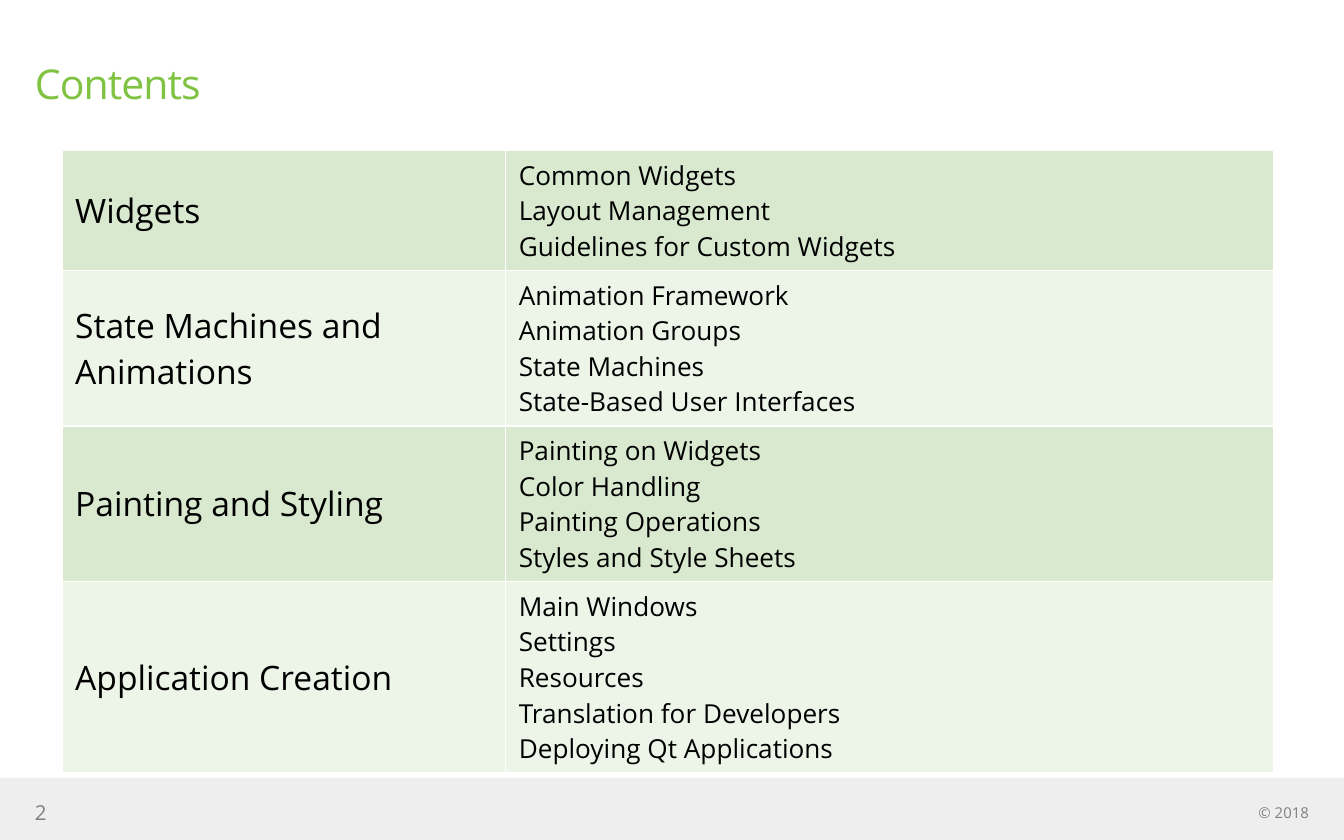
from lxml import etree
from pptx import Presentation
from pptx.dml.color import RGBColor
from pptx.enum.shapes import MSO_SHAPE
from pptx.enum.text import MSO_ANCHOR, PP_ALIGN
from pptx.oxml.ns import qn
from pptx.util import Inches, Pt

RECTANGLE = MSO_SHAPE.RECTANGLE
TOP, MIDDLE = MSO_ANCHOR.TOP, MSO_ANCHOR.MIDDLE
LEFT, RIGHT = PP_ALIGN.LEFT, PP_ALIGN.RIGHT

WIDTH, HEIGHT = 10, 6.25
FONT = "Open Sans"
LINE_SPACING = 1.36  # line height of the font, as a share of its size
CELL_PADDING = 0.05
TOPIC_SIZE, ITEM_SIZE = 18, 14
COLORS = {
    "title": "80C342",
    "text": "000000",
    "page_number": "7F7F7F",
    "copyright": "808080",
    "footer": "EEEEEE",
    "dark_band": "D8E9CF",
    "light_band": "EDF5E9",
    "border": "FFFFFF",
}

CONTENTS = [
    ("Widgets",
     ["Common Widgets", "Layout Management", "Guidelines for Custom Widgets"]),
    ("State Machines and Animations",
     ["Animation Framework", "Animation Groups", "State Machines",
      "State-Based User Interfaces"]),
    ("Painting and Styling",
     ["Painting on Widgets", "Color Handling", "Painting Operations",
      "Styles and Style Sheets"]),
    ("Application Creation",
     ["Main Windows", "Settings", "Resources", "Translation for Developers",
      "Deploying Qt Applications"]),
]


def color(name):
    return RGBColor.from_string(COLORS[name])


class SlideBuilder:
    """Places styled elements; positions are shares of the slide's size."""

    def __init__(self, slide):
        self.slide = slide

    def box(self, x, y, width, height):
        return (Inches(x * WIDTH), Inches(y * HEIGHT),
                Inches(width * WIDTH), Inches(height * HEIGHT))

    def set_lines(self, frame, lines, size, color_name, align=LEFT):
        frame.word_wrap = True
        frame.text = "\n".join(lines)
        for paragraph in frame.paragraphs:
            paragraph.alignment = align
            paragraph.font.name = FONT
            paragraph.font.size = Pt(size)
            paragraph.font.color.rgb = color(color_name)

    def band(self, area, color_name):
        shape = self.slide.shapes.add_shape(RECTANGLE, *self.box(*area))
        shape.shadow.inherit = False
        shape.fill.solid()
        shape.fill.fore_color.rgb = color(color_name)
        shape.line.fill.background()

    def text(self, area, text, size, color_name, align=LEFT, anchor=MIDDLE,
             spacing=0):
        frame = self.slide.shapes.add_textbox(*self.box(*area)).text_frame
        frame.margin_left = frame.margin_right = 0
        frame.margin_top = frame.margin_bottom = 0
        frame.vertical_anchor = anchor
        self.set_lines(frame, [text], size, color_name, align)
        if spacing:
            properties = frame.paragraphs[0].runs[0]._r.get_or_add_rPr()
            properties.set("spc", str(round(spacing * 100)))

    def cell(self, cell, lines, size, fill_name):
        cell.margin_left = cell.margin_right = Inches(2 * CELL_PADDING)
        cell.margin_top = cell.margin_bottom = Inches(CELL_PADDING)
        cell.vertical_anchor = MIDDLE
        self.set_lines(cell.text_frame, lines, size, "text")
        properties = cell._tc.get_or_add_tcPr()
        for side in ("a:lnL", "a:lnR", "a:lnT", "a:lnB"):
            line = etree.SubElement(properties, qn(side), w=str(Pt(1)))
            fill = etree.SubElement(line, qn("a:solidFill"))
            etree.SubElement(fill, qn("a:srgbClr"), val=COLORS["border"])
        cell.fill.solid()
        cell.fill.fore_color.rgb = color(fill_name)

    def contents_table(self, x, y, column_shares, rows):
        # Each row is as tall as its list of items
        heights = [len(items) * ITEM_SIZE * LINE_SPACING / 72 + 2 * CELL_PADDING
                   for _, items in rows]
        area = self.box(x, y, sum(column_shares), sum(heights) / HEIGHT)
        table = self.slide.shapes.add_table(
            len(rows), len(column_shares), *area).table
        table.first_row = table.horz_banding = False
        for column, share in zip(table.columns, column_shares):
            column.width = Inches(share * WIDTH)
        for index, (topic, items) in enumerate(rows):
            table.rows[index].height = Inches(heights[index])
            fill_name = "light_band" if index % 2 else "dark_band"
            self.cell(table.cell(index, 0), [topic], TOPIC_SIZE, fill_name)
            self.cell(table.cell(index, 1), items, ITEM_SIZE, fill_name)


def main():
    presentation = Presentation()
    presentation.slide_width = Inches(WIDTH)
    presentation.slide_height = Inches(HEIGHT)
    slide = presentation.slides.add_slide(presentation.slide_layouts[6])
    builder = SlideBuilder(slide)

    # Footer band and page number
    builder.band((0, 0.926, 1, 0.074), "footer")
    builder.text((0.026, 0.952, 0.247, 0.03), "2", 11, "page_number")

    # Title
    builder.text((0.026, 0.07, 0.675, 0.136), "Contents", 22, "title",
                 anchor=TOP, spacing=-0.5)

    # Topics and their items
    builder.contents_table(0.046, 0.179, (0.33, 0.572), CONTENTS)

    # Copyright
    builder.text((0.792, 0.957, 0.182, 0.021), "© 2018", 8, "copyright",
                 align=RIGHT)

    presentation.save("out.pptx")


if __name__ == "__main__":
    main()
